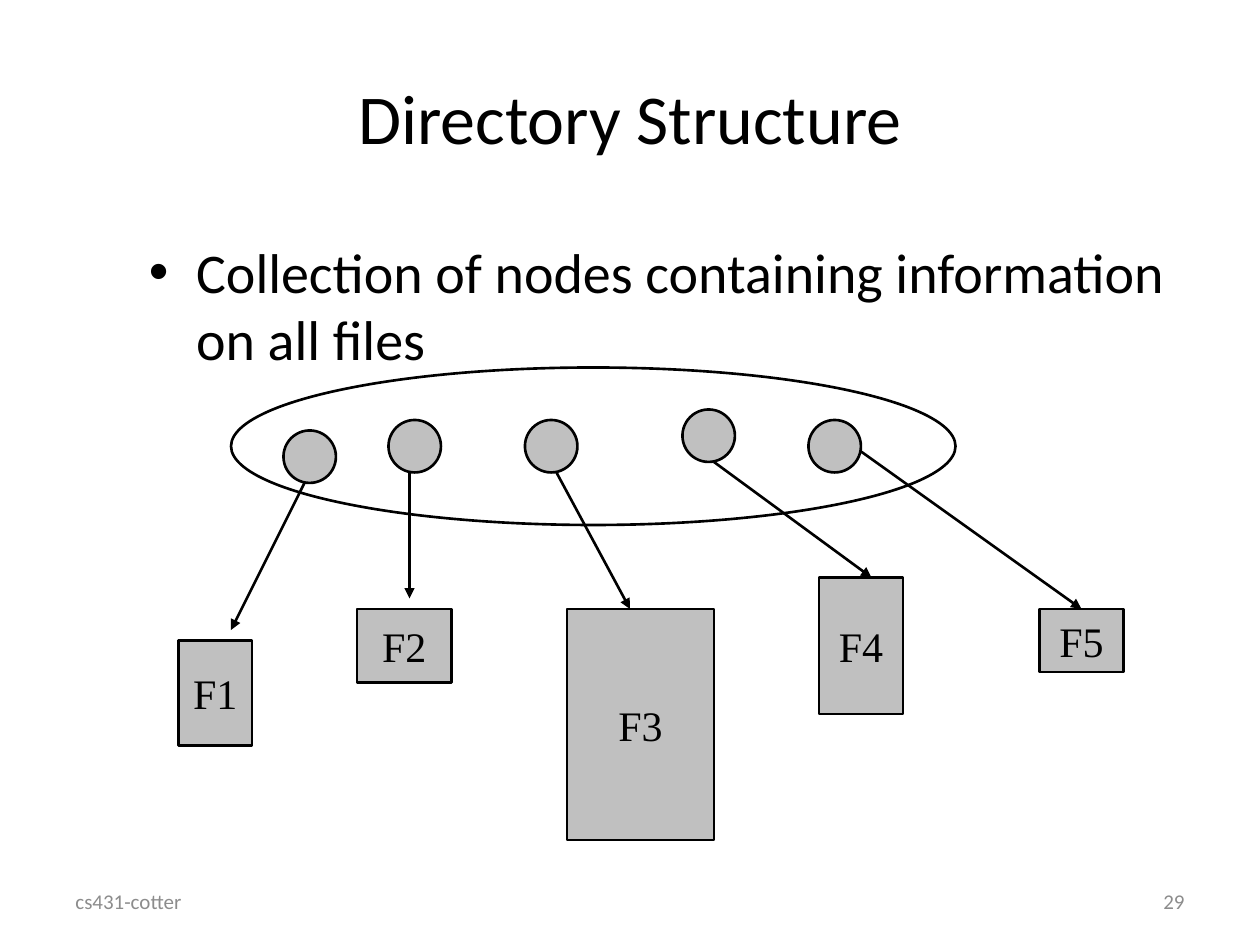
from lxml import etree
from pptx import Presentation
from pptx.dml.color import RGBColor
from pptx.enum import shapes, text
from pptx.oxml import ns
from pptx.util import Pt

BLACK, SILVER, GREY = "000000", "C0C0C0", "8C8C8C"
NODE_SIZE = 30

# Each entry: node corner, arrow start, arrow end, file box (left, top, width, height)
FILES = {
    "F1": ((162, 246), (174, 276), (132, 360), (102, 366, 42, 60)),
    "F2": ((222, 240), (234, 270), (234, 342), (204, 348, 54, 42)),
    "F3": ((300, 240), (318, 270), (360, 348), (324, 348, 84, 132)),
    "F4": ((390, 234), (408, 264), (498, 330), (468, 330, 48, 78)),
    "F5": ((462, 240), (492, 258), (618, 348), (594, 348, 48, 36)),
}


def color(hex_value):
    return RGBColor.from_string(hex_value)


def points(values):
    return [Pt(value) for value in values]


def write(frame, content, size, font="Calibri", ink=BLACK,
          align=text.PP_ALIGN.LEFT, anchor=text.MSO_ANCHOR.MIDDLE, wrap=True):
    frame.text = content
    frame.word_wrap = wrap
    frame.vertical_anchor = anchor
    paragraph = frame.paragraphs[0]
    paragraph.alignment = align
    paragraph.font.size = Pt(size)
    paragraph.font.name = font
    paragraph.font.color.rgb = color(ink)
    return paragraph


def add_title(slide, content):
    title = slide.shapes.title
    title.left, title.top, title.width, title.height = points((36, 21.6, 648, 90))
    write(title.text_frame, content, 40, align=text.PP_ALIGN.CENTER)


def add_text(slide, box, content, size, **style):
    frame = slide.shapes.add_textbox(*points(box)).text_frame
    return write(frame, content, size, **style)


def add_bullet(slide, box, content):
    paragraph = add_text(slide, box, content, 32, anchor=text.MSO_ANCHOR.TOP)
    paragraph.space_before = Pt(6.4)
    properties = paragraph._p.get_or_add_pPr()
    properties.set("marL", str(Pt(27)))
    properties.set("indent", str(-Pt(27)))
    bullet_font = etree.Element(ns.qn("a:buFont"), typeface="Arial")
    bullet = etree.Element(ns.qn("a:buChar"), char="•")
    spacing = properties.find(ns.qn("a:spcBef"))
    spacing.addnext(bullet_font)
    bullet_font.addnext(bullet)


def add_outlined(slide, kind, box, fill=None):
    shape = slide.shapes.add_shape(kind, *points(box))
    shape.shadow.inherit = False
    if fill:
        shape.fill.solid()
        shape.fill.fore_color.rgb = color(fill)
    else:
        shape.fill.background()
    shape.line.color.rgb = color(BLACK)
    shape.line.width = Pt(1.5)
    return shape


def add_file(slide, label, box):
    file_box = add_outlined(slide, shapes.MSO_SHAPE.RECTANGLE, box, SILVER)
    write(file_box.text_frame, label, 24, "Times New Roman",
          align=text.PP_ALIGN.CENTER, wrap=False)
    return file_box


def add_arrow(slide, start, end):
    arrow = slide.shapes.add_connector(
        shapes.MSO_CONNECTOR.STRAIGHT, *points(start + end))
    arrow.line.color.rgb = color(BLACK)
    arrow.line.width = Pt(1.5)
    etree.SubElement(arrow.line._get_or_add_ln(), ns.qn("a:tailEnd"), type="triangle")
    etree.SubElement(arrow._element.spPr, ns.qn("a:effectLst"))
    return arrow


def main():
    deck = Presentation()
    deck.slide_width, deck.slide_height = Pt(720), Pt(540)
    slide = deck.slides.add_slide(deck.slide_layouts[5])

    add_text(slide, (36, 500.4, 168, 28.8), "cs431-cotter", 12, ink=GREY)
    add_text(slide, (516, 500.4, 168, 28.8), "29", 12, ink=GREY,
             align=text.PP_ALIGN.RIGHT)
    add_title(slide, "Directory Structure")
    add_bullet(slide, (78, 132, 612, 324),
               "Collection of nodes containing information on all files")

    add_outlined(slide, shapes.MSO_SHAPE.OVAL, (132, 210, 414, 90))
    for label, (node, start, end, box) in FILES.items():
        add_outlined(slide, shapes.MSO_SHAPE.OVAL,
                     node + (NODE_SIZE, NODE_SIZE), SILVER)
        file_box = add_file(slide, label, box)
        arrow = add_arrow(slide, start, end)
        left, top, width, _ = box
        if end == (left + width / 2, top):
            arrow.end_connect(file_box, 0)

    deck.save("out.pptx")


if __name__ == "__main__":
    main()
